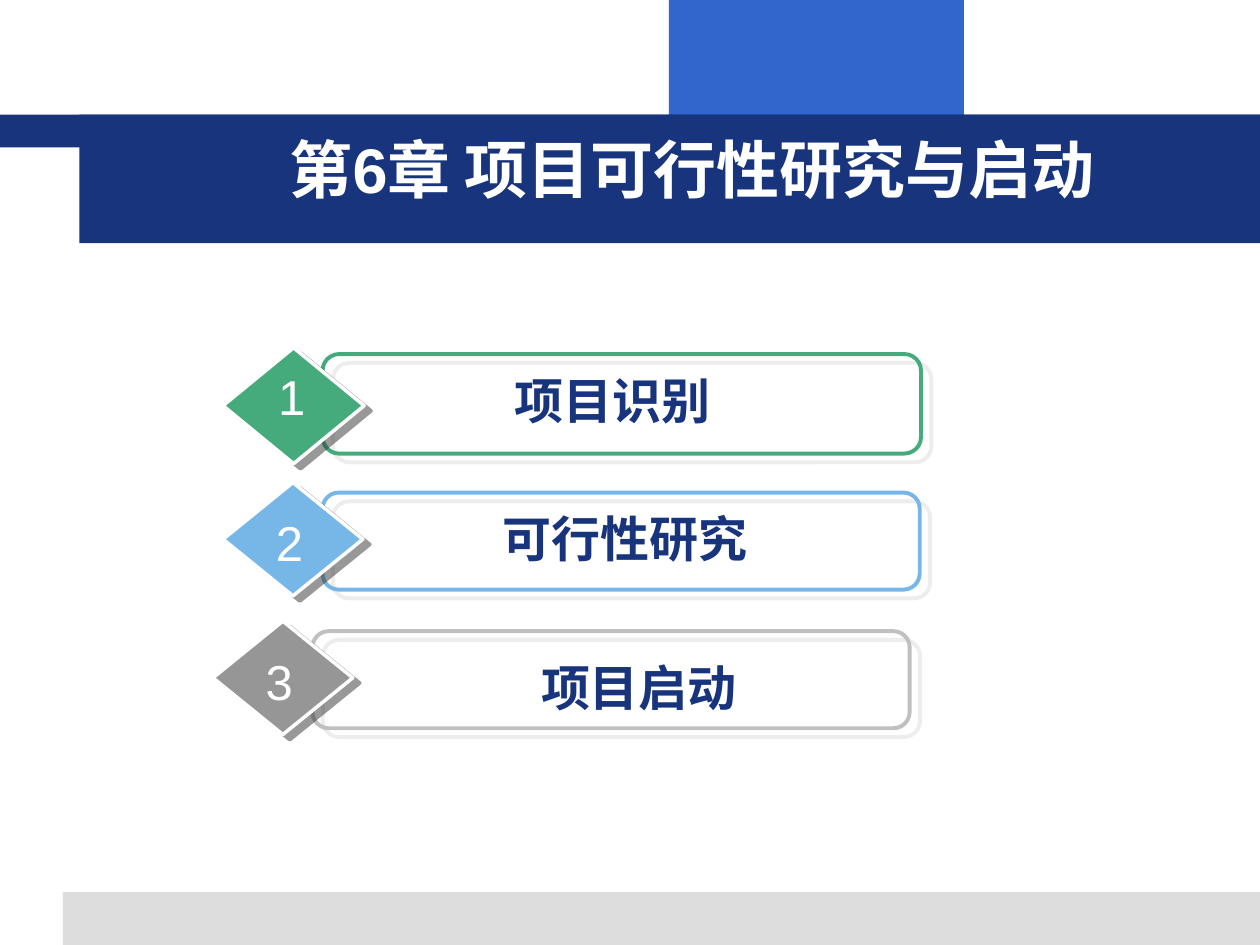
from dataclasses import dataclass

from lxml import etree
from pptx import Presentation
from pptx.dml.color import RGBColor
from pptx.enum.shapes import MSO_SHAPE
from pptx.enum.text import MSO_AUTO_SIZE, PP_ALIGN
from pptx.oxml.ns import qn
from pptx.util import Inches, Pt

RECTANGLE = MSO_SHAPE.RECTANGLE
ROUNDED = MSO_SHAPE.ROUNDED_RECTANGLE
DIAMOND = MSO_SHAPE.DIAMOND
CENTER = PP_ALIGN.CENTER
GROW = MSO_AUTO_SIZE.SHAPE_TO_FIT_TEXT


@dataclass(frozen=True)
class Theme:
    font: str = "Arial"
    navy: str = "17347D"
    blue: str = "3366CC"
    pale_gray: str = "DDDDDD"
    white: str = "FFFFFF"
    green: str = "45AB7D"
    sky: str = "77B7E7"
    silver: str = "C0C0C0"
    gray: str = "969696"
    dark: str = "333333"
    title_size: int = 36
    item_size: int = 28
    frame_line: float = 2.25
    diamond_line: float = 2


THEME = Theme()


def add_shape(page, kind, place, fill=None, line=None, line_width=1):
    shape = page.shapes.add_shape(kind, *map(Inches, place))
    shape.shadow.inherit = False
    if fill:
        shape.fill.solid()
        shape.fill.fore_color.rgb = RGBColor.from_string(fill)
    else:
        shape.fill.background()
    if line:
        shape.line.color.rgb = RGBColor.from_string(line)
        shape.line.width = Pt(line_width)
    else:
        shape.line.fill.background()
    return shape


def add_shadow(shape, color, distance, angle):
    """Give the shape a hard, half-transparent shadow; distance in points, angle in degrees."""
    effects = shape._element.spPr.find(qn("a:effectLst"))
    shadow = etree.SubElement(
        effects, qn("a:outerShdw"), blurRad="0", dist=str(Pt(distance)),
        dir=str(angle * 60000), algn="ctr", rotWithShape="0")
    tint = etree.SubElement(shadow, qn("a:srgbClr"), val=color)
    etree.SubElement(tint, qn("a:alpha"), val="50000")


def add_text(page, place, text, size, color, bold=False, wrap=True):
    box = page.shapes.add_textbox(*map(Inches, place))
    frame = box.text_frame
    frame.word_wrap = wrap
    frame.auto_size = GROW
    frame.text = text
    para = frame.paragraphs[0]
    para.alignment = CENTER
    font = para.runs[0].font
    font.name = THEME.font
    font.size = Pt(size)
    font.bold = bold
    font.color.rgb = RGBColor.from_string(color)


def add_backdrop(page):
    add_shape(page, RECTANGLE, (5.31, 0, 2.34, 0.92), THEME.blue)
    add_shape(page, RECTANGLE, (0.5, 7.08, 9.5, 0.42), THEME.pale_gray)
    add_shape(page, RECTANGLE, (0, 0.91, 10, 0.26), THEME.navy)
    add_shape(page, RECTANGLE, (0.63, 0.91, 9.37, 1.02), THEME.navy)


def add_item(page, number, label, frame_color, diamond_color,
             frame_place, diamond_place, number_place, label_place):
    frame = add_shape(page, ROUNDED, frame_place,
                      line=frame_color, line_width=THEME.frame_line)
    frame.adjustments[0] = 0.167
    add_shadow(frame, THEME.pale_gray, 7.8, 40)
    diamond = add_shape(page, DIAMOND, diamond_place, diamond_color,
                        THEME.white, THEME.diamond_line)
    add_shadow(diamond, THEME.dark, 5, 37)
    add_text(page, label_place, label, THEME.item_size, THEME.navy, bold=True)
    add_text(page, number_place, str(number), THEME.item_size, THEME.white, wrap=False)


def main():
    deck = Presentation()
    deck.slide_width, deck.slide_height = Inches(10), Inches(7.5)
    page = deck.slides.add_slide(deck.slide_layouts[6])

    add_backdrop(page)
    add_text(page, (1.38, 0.99, 8.23, 0.7), "第6章 项目可行性研究与启动",
             THEME.title_size, THEME.white, bold=True)

    items = [
        ("项目识别 ", THEME.green, THEME.green,
         (2.56, 2.81, 4.75, 0.79), (1.77, 2.76, 1.12, 0.92),
         (1.93, 2.86, 0.77, 0.57), (3.03, 2.89, 3.75, 0.57)),
        ("可行性研究 ", THEME.sky, THEME.sky,
         (2.56, 3.91, 4.74, 0.77), (1.77, 3.83, 1.11, 0.9),
         (2.09, 4.02, 0.41, 0.57), (2.8, 3.99, 4.41, 0.57)),
        ("项目启动 ", THEME.silver, THEME.gray,
         (2.48, 5.01, 4.74, 0.77), (1.69, 4.93, 1.11, 0.9),
         (2.01, 5.12, 0.41, 0.57), (3.03, 5.17, 4.17, 0.57)),
    ]
    for number, item in enumerate(items, start=1):
        add_item(page, number, *item)

    deck.save("out.pptx")


if __name__ == "__main__":
    main()
